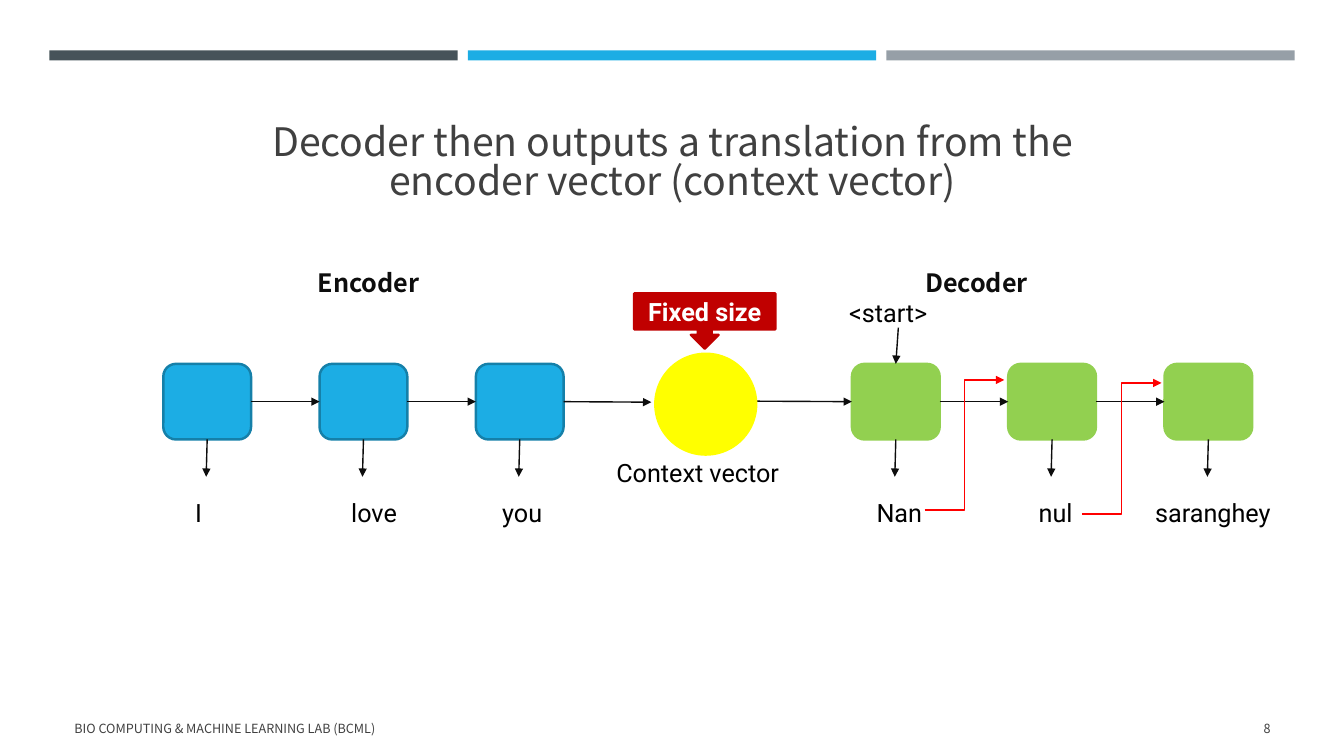
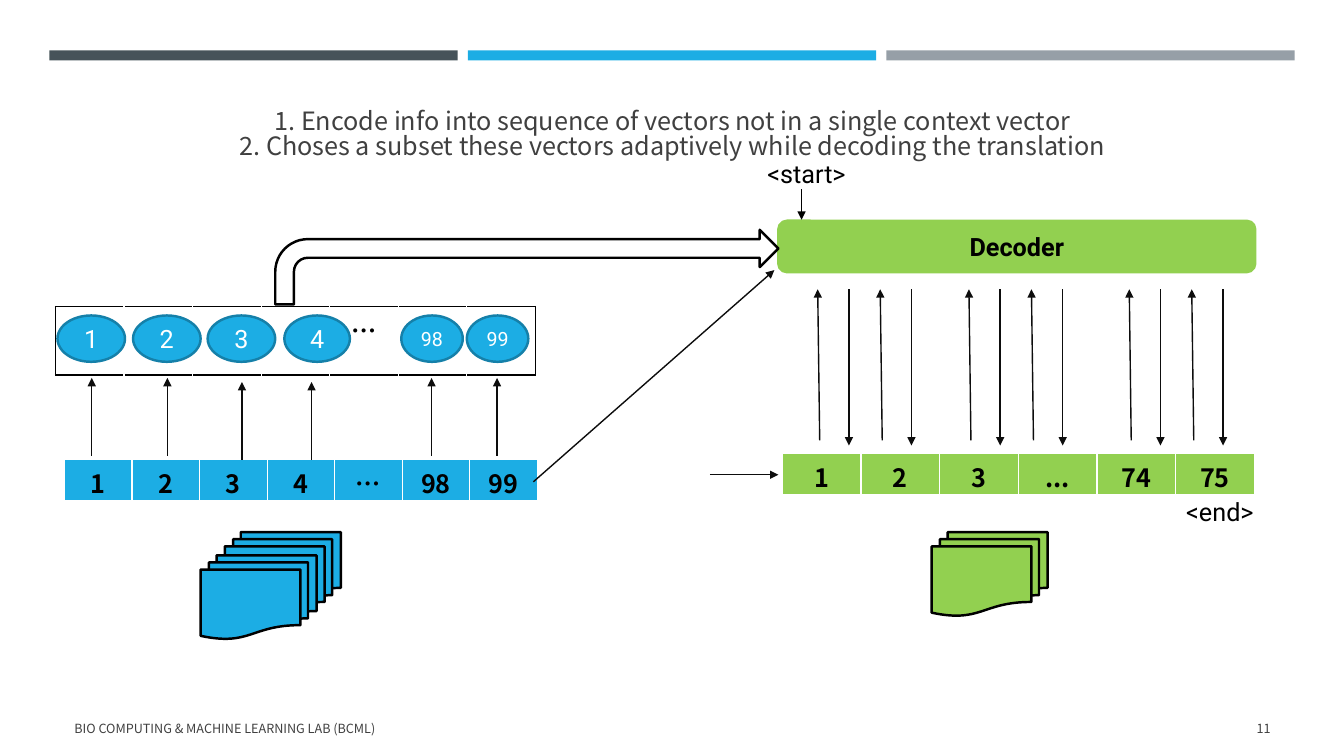
"""Build two slides on encoder-decoder translation and on attention over a sequence of vectors."""
from lxml.etree import SubElement
from pptx import Presentation
from pptx.dml.color import RGBColor
from pptx.enum.shapes import MSO_CONNECTOR as LINK, MSO_SHAPE as SHAPE
from pptx.enum.text import MSO_ANCHOR as ANCHOR, MSO_AUTO_SIZE as FIT, PP_ALIGN as ALIGN
from pptx.oxml.ns import qn
from pptx.util import Inches, Pt

WIDTH, HEIGHT = 13.33, 7.5
MARGIN, CONTENT = 0.64, 12.06
SLATE = RGBColor(0x46, 0x53, 0x59)
BLUE = RGBColor(0x1C, 0xAD, 0xE4)
GREY = RGBColor(0x96, 0x9F, 0xA7)
DEEP_BLUE = RGBColor(0x15, 0x80, 0xA9)
GREEN = RGBColor(0x92, 0xD0, 0x50)
YELLOW = RGBColor(0xFF, 0xFF, 0x00)
DARK_RED = RGBColor(0xC0, 0x00, 0x00)
RED = RGBColor(0xFF, 0x00, 0x00)
WHITE = RGBColor(0xFF, 0xFF, 0xFF)
BLACK = RGBColor(0x00, 0x00, 0x00)
INK = RGBColor(0x0D, 0x0D, 0x0D)
CHARCOAL = RGBColor(0x40, 0x40, 0x40)
HEAD_FONT, BODY_FONT = "Noto Sans CJK KR", "Roboto"


def add_box(slide, frame, text="", preset=None, fill=None, line=None, size=18,
            color=BLACK, bold=False, font=BODY_FONT, align=ALIGN.CENTER):
    frame = [Inches(length) for length in frame]
    if preset is None:
        box = slide.shapes.add_textbox(*frame)
    else:
        box = slide.shapes.add_shape(preset, *frame)
        box.shadow.inherit = False
        box.fill.solid()
        box.fill.fore_color.rgb = fill
        if line is None:
            box.line.fill.background()
        else:
            box.line.color.rgb = line
            box.line.width = Pt(1.75)
        box.text_frame.margin_left = box.text_frame.margin_right = 0
    box.text_frame.word_wrap = True
    box.text_frame.vertical_anchor = ANCHOR.MIDDLE
    if text:
        para = box.text_frame.paragraphs[0]
        para.alignment = align
        run = para.add_run()
        run.text = text
        run.font.size, run.font.name, run.font.bold = Pt(size), font, bold
        run.font.color.rgb = color
    return box


def add_arrow(slide, start, end, color=INK, kind=LINK.STRAIGHT):
    arrow = slide.shapes.add_connector(kind, *[Inches(length) for length in (*start, *end)])
    arrow.line.color.rgb = color
    arrow.line.width = Pt(1)
    SubElement(arrow.get_or_add_ln(), qn("a:tailEnd"), type="triangle")
    SubElement(arrow.element.spPr, qn("a:effectLst"))
    return arrow


deck = Presentation()
deck.slide_width, deck.slide_height = Inches(WIDTH), Inches(HEIGHT)
layout = deck.slide_layouts[5]

pages = []
for number, size, title_height, lines in (
    ("8", 28, 1.3, ("Decoder then outputs a translation from the",
                    "encoder vector (context vector)")),
    ("11", 18, 0.87, ("1. Encode info into sequence of vectors not in a single context vector",
                      "2. Choses a subset these vectors adaptively while decoding the translation")),
):
    page = deck.slides.add_slide(layout)
    pages.append(page)
    title = page.shapes.title
    title.left, title.top, title.width, title.height = [
        Inches(length) for length in (MARGIN, 0.77, CONTENT, title_height)]
    title.text_frame.auto_size = FIT.NONE
    title.text_frame.vertical_anchor = ANCHOR.BOTTOM
    para = title.text_frame.paragraphs[0]
    para.alignment = ALIGN.CENTER
    para.line_spacing = 0.83
    for index, line in enumerate(lines):
        if index:
            para.add_line_break()
        run = para.add_run()
        run.text = line
        run.font.size, run.font.name = Pt(size), HEAD_FONT
        run.font.color.rgb = CHARCOAL
    for left, width, text, align in (
        (MARGIN, 7.56, "BIO COMPUTING & MACHINE LEARNING LAB (BCML)", ALIGN.LEFT),
        (11.55, 1.15, number, ALIGN.RIGHT),
    ):
        add_box(page, (left, 7.03, width, 0.4), text, size=9, color=CHARCOAL,
                font=HEAD_FONT, align=align)

translation, attention = pages

for column, color in enumerate((SLATE, BLUE, GREY)):
    band = add_box(translation, (0.49 + 4.15 * column, 0.5, 4.05, 0.1),
                   preset=SHAPE.RECTANGLE, fill=color)
    layout.shapes.element.append(band.element)

for page, left, top, column_width, row_height, labels, fill, color in (
    (translation, MARGIN, 2.56, CONTENT / 2, 0.9, ("Encoder", "Decoder"), WHITE, INK),
    (attention, MARGIN, 4.56, 0.67, 0.41, ("1", "2", "3", "4", "…", "98", "99"), BLUE, BLACK),
    (attention, 7.76, 4.5, 0.78, 0.41, ("1", "2", "3", "...", "74", "75"), GREEN, BLACK),
    (attention, 0.55, 3.04, 0.68, 0.68, ("", "", "", "", "…", "", ""), WHITE, BLACK),
):
    table = page.shapes.add_table(
        1, len(labels), Inches(left), Inches(top),
        Inches(column_width * len(labels)), Inches(row_height)).table
    for index, (cell, label) in enumerate(zip(table.rows[0].cells, labels)):
        table.columns[index].width = Inches(column_width)
        if "" in labels:
            sides = ["a:lnT", "a:lnB"]
            if index == 0:
                sides.insert(0, "a:lnL")
            if index == len(labels) - 1:
                sides.insert(0, "a:lnR")
            for side in sides:
                border = SubElement(cell._tc.get_or_add_tcPr(), qn(side), w=str(Pt(1)))
                paint = SubElement(border, qn("a:solidFill"))
                SubElement(paint, qn("a:srgbClr"), val=str(BLACK))
        cell.fill.solid()
        cell.fill.fore_color.rgb = fill
        if label:
            para = cell.text_frame.paragraphs[0]
            para.alignment = ALIGN.CENTER
            run = para.add_run()
            run.text = label
            run.font.size, run.font.name, run.font.bold = Pt(18), HEAD_FONT, True
            run.font.color.rgb = color

for first, fill, line, words in (
    (1.62, BLUE, DEEP_BLUE, (("I", 1.97), ("love", 3.71), ("you", 5.18))),
    (8.45, GREEN, GREEN, (("Nan", 8.92), ("nul", 10.47), ("saranghey", 12.03))),
):
    cells = []
    for step, (word, center) in enumerate(words):
        left = first + 1.55 * step
        cell = add_box(translation, (left, 3.61, 0.87, 0.75),
                       preset=SHAPE.ROUNDED_RECTANGLE, fill=fill, line=line)
        middle = left + 0.435
        output = add_arrow(translation, (middle, 4.36), (middle - 0.01, 4.73))
        output.begin_connect(cell, 2)
        if cells:
            link = add_arrow(translation, (left - 0.68, 3.98), (left, 3.98))
            link.begin_connect(cells[-1], 3)
            link.end_connect(cell, 1)
        cells.append(cell)
        add_box(translation, (center - 0.87, 4.88, 1.74, 0.4), word)
    if fill == BLUE:
        add_arrow(translation, (5.59, 3.98), (6.46, 3.99)).begin_connect(cells[-1], 3)
    else:
        add_arrow(translation, (7.5, 3.98), (8.45, 3.98)).end_connect(cells[0], 1)
        add_arrow(translation, (8.91, 3.25), (8.89, 3.61)).end_connect(cells[0], 0)

add_box(translation, (6.5, 3.51, 1, 1), preset=SHAPE.OVAL, fill=YELLOW, line=YELLOW)
add_box(translation, (5.42, 4.49, 3, 0.4), "Context vector")
add_box(translation, (7.94, 2.9, 1.74, 0.4), "<start>")
for left, bottom, top in ((9.17, 5.06, 3.77), (10.73, 5.1, 3.8)):
    add_arrow(translation, (left, bottom), (left + 0.79, top), RED, LINK.ELBOW)
add_box(translation, (6.29, 2.91, 1.4, 0.55), "Fixed size", SHAPE.DOWN_ARROW_CALLOUT,
        DARK_RED, DARK_RED, color=WHITE, bold=True)

add_arrow(attention, (5.29, 4.78), (7.68, 2.68))
add_arrow(attention, (7.04, 4.71), (7.72, 4.71))
for left, top, fill in ((2.23, 5.28, BLUE), (1.99, 5.51, BLUE), (9.24, 5.28, GREEN)):
    add_box(attention, (left, top, 1.15, 0.83), preset=SHAPE.FLOWCHART_MULTIDOCUMENT,
            fill=fill, line=BLACK)

for label, left, width, size, arrow_left, arrow_bottom in (
    ("1", 0.57, 0.67, 18, 0.91, 4.52), ("2", 1.32, 0.67, 18, 1.66, 4.52),
    ("3", 2.06, 0.67, 18, 2.4, 4.56), ("4", 2.82, 0.65, 18, 3.09, 4.56),
    ("98", 3.98, 0.61, 14, 4.28, 4.52), ("99", 4.63, 0.61, 14, 4.93, 4.52),
):
    add_box(attention, (left, 3.13, width, 0.46), label, SHAPE.OVAL, BLUE, DEEP_BLUE,
            size=size, color=WHITE)
    add_arrow(attention, (arrow_left, arrow_bottom), (arrow_left, arrow_bottom - 0.77))

add_box(attention, (7.72, 2.19, 4.73, 0.51), "Decoder", SHAPE.ROUNDED_RECTANGLE,
        GREEN, GREEN, bold=True)
for group in (8.13, 9.63, 11.22):
    for left in (group, group + 0.62):
        add_arrow(attention, (left, 4.37), (left - 0.02, 2.87))
        add_arrow(attention, (left + 0.29, 2.87), (left + 0.29, 4.42))
for text, center, top in (("<start>", 8, 1.52), ("<end>", 12.1, 4.87)):
    add_box(attention, (center - 0.6, top, 1.2, 0.4), text)
add_arrow(attention, (7.95, 1.88), (7.95, 2.18), BLACK)
add_box(attention, (2.73, 2.28, 4.99, 0.74), preset=SHAPE.BENT_ARROW, fill=WHITE, line=BLACK)

deck.save("out.pptx")
